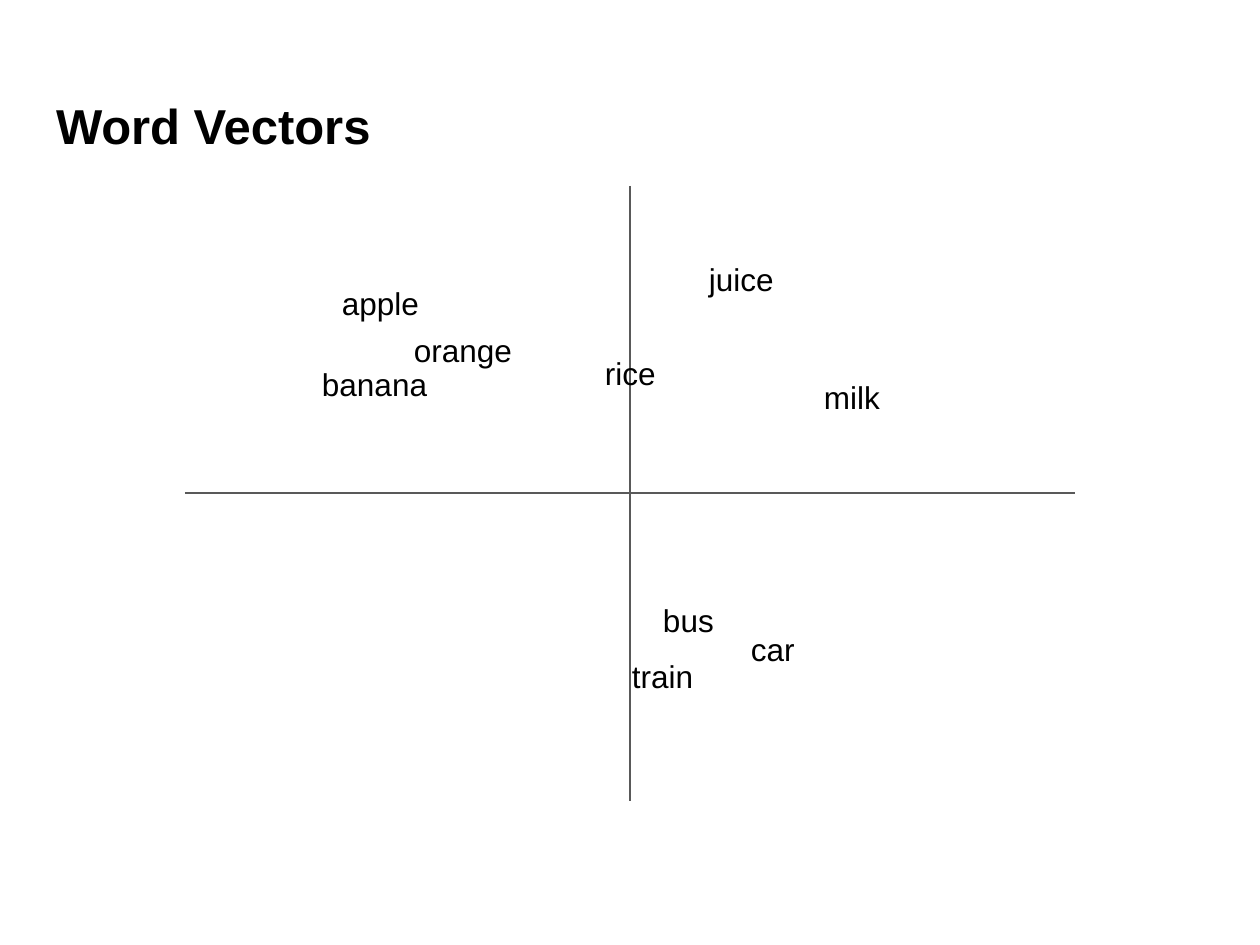
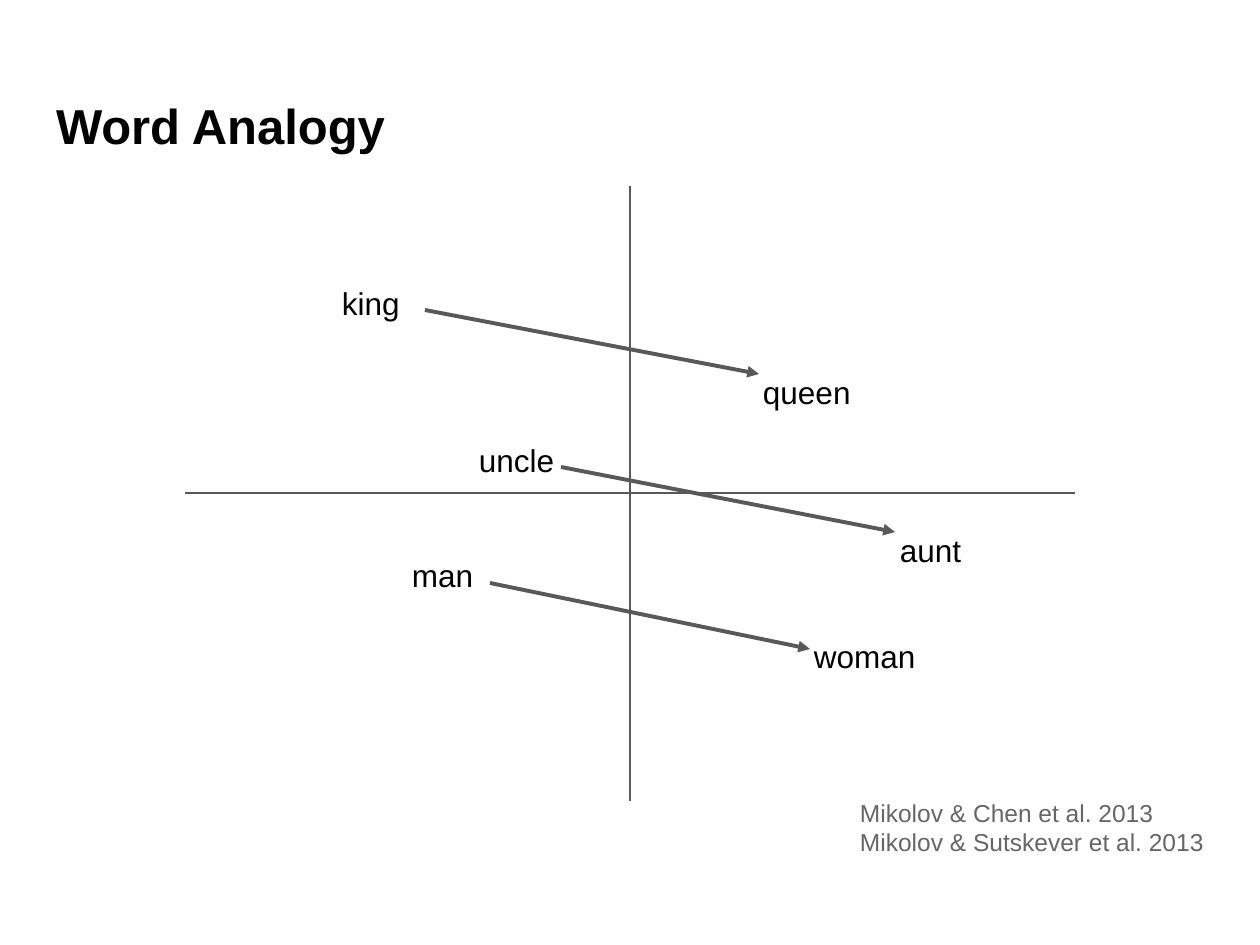
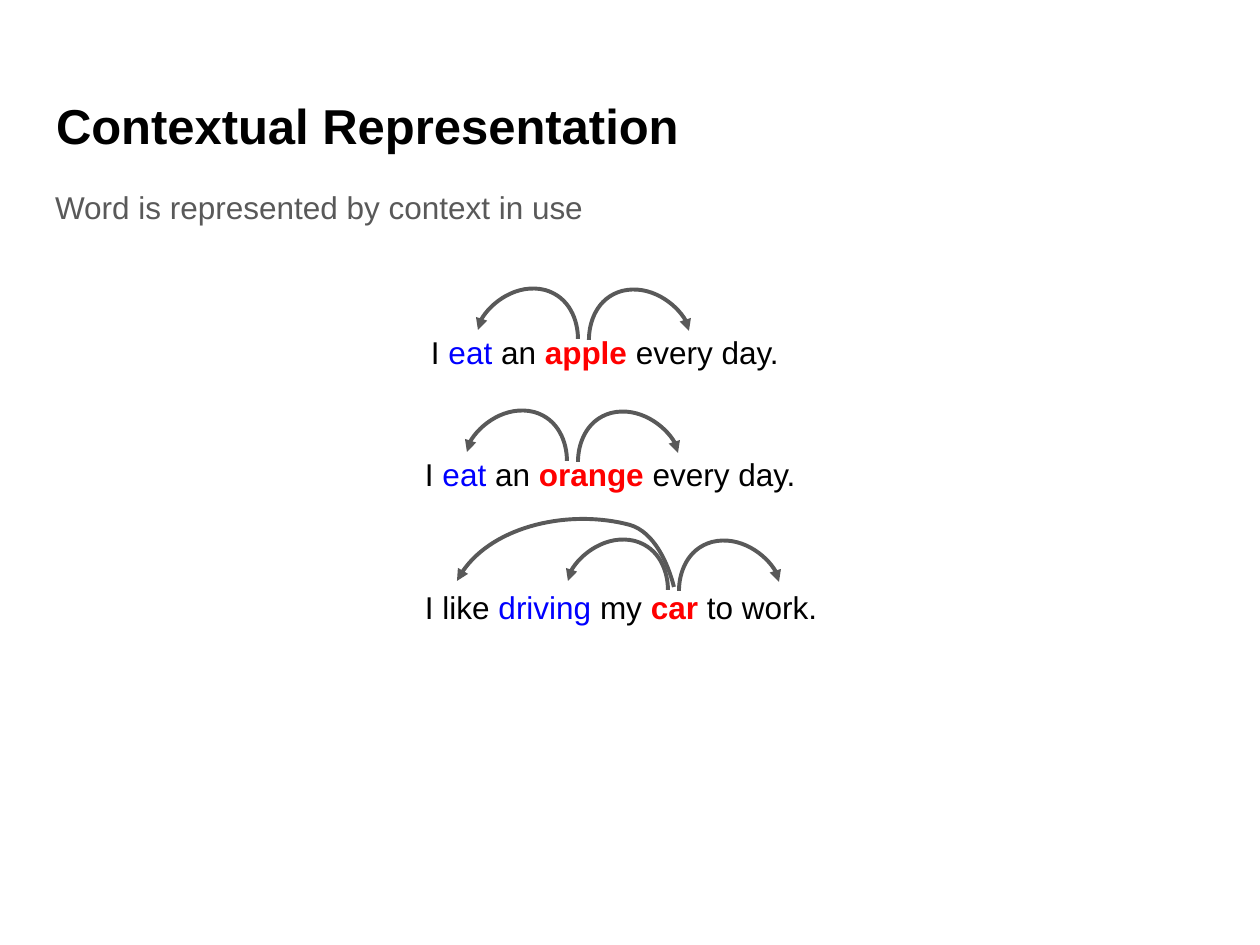
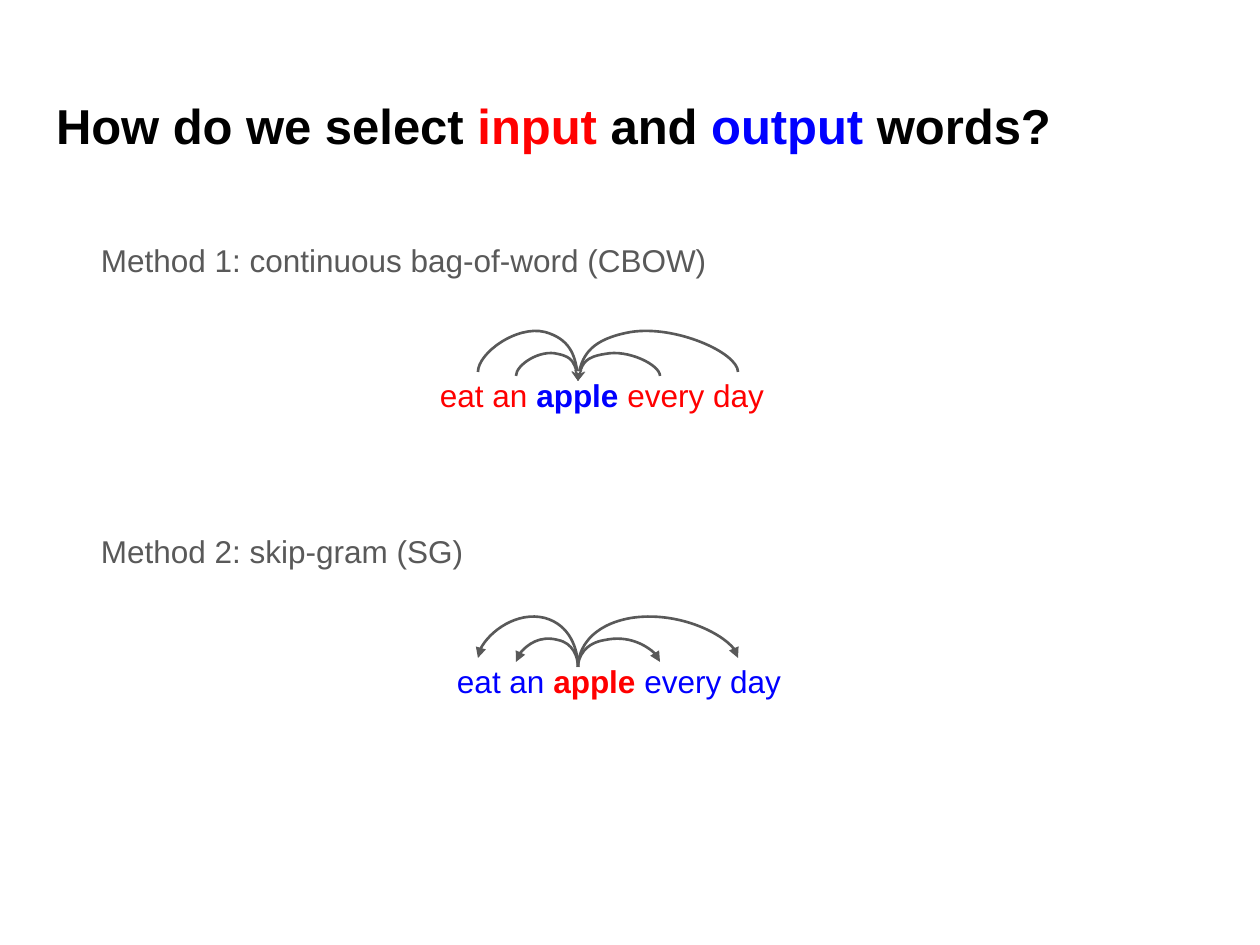
import lxml.etree
import pptx
import pptx.dml.color
import pptx.enum.shapes
import pptx.enum.text
import pptx.oxml.ns
import pptx.util

PX = 914400 / 126
FONT = "Arial"
BLACK, GRAY, NOTE = "000000", "595959", "666666"
RED, BLUE = "FF0000", "0000FF"
INSET = 13
TITLE_BOX = (43, 82, 1174, 104)
PLOT_BOX = (185, 186, 890, 615)
SENTENCE_SIZE = (437, 86)
WORD_HEIGHT = 81
ARC_HEIGHT, LOW_ARC_HEIGHT = 50, 28
ARC_FRACTIONS = [(0, 0), (0, .36), (.08, .84), (.33, .98), (.61, 1.13), (1, .56), (1, .18)]


def px(length):
    """Turn pixels into EMU."""
    return pptx.util.Emu(round(length * PX))


def color(value):
    """Turn a hex string into a colour."""
    return pptx.dml.color.RGBColor.from_string(value)


def add_element(parent, tag, **attributes):
    """Append a drawing element to its parent."""
    return lxml.etree.SubElement(parent, pptx.oxml.ns.qn(tag), **attributes)


def place(shape, box):
    """Move a shape to a box given in pixels."""
    shape.left, shape.top, shape.width, shape.height = map(px, box)


def write(shape, lines, size, middle=False, indent=0):
    """Write lines of (text, colour, bold) pieces into a shape."""
    frame = shape.text_frame
    frame.word_wrap = True
    frame.auto_size = pptx.enum.text.MSO_AUTO_SIZE.NONE
    anchors = pptx.enum.text.MSO_ANCHOR
    frame.vertical_anchor = anchors.MIDDLE if middle else anchors.TOP
    frame.margin_left = px(INSET + indent)
    frame.margin_right = frame.margin_top = frame.margin_bottom = px(INSET)
    for index, pieces in enumerate(lines):
        para = frame.add_paragraph() if index else frame.paragraphs[0]
        para.alignment = pptx.enum.text.PP_ALIGN.LEFT
        for text, ink, bold in pieces:
            span = para.add_run()
            span.text = text
            span.font.name = FONT
            span.font.size = pptx.util.Pt(size)
            span.font.bold = bold
            span.font.color.rgb = color(ink)


def add_text(page, box, lines, size=18, **options):
    """Add a text box."""
    shape = page.shapes.add_textbox(*map(px, box))
    write(shape, lines, size, **options)
    return shape


def add_page(deck, layout, pieces):
    """Add a slide with the shared title style."""
    page = deck.slides.add_slide(deck.slide_layouts.get_by_name(layout))
    place(page.shapes.title, TITLE_BOX)
    write(page.shapes.title, [[(text, ink, True) for text, ink in pieces]], 28)
    return page


def space_statement(shape):
    """Give a statement its line and paragraph spacing."""
    para = shape.text_frame.paragraphs[0]
    para.line_spacing = 1.15
    para.space_before = pptx.util.Pt(0)
    para.space_after = pptx.util.Pt(16)
    return para


def fill_body(page, box, text):
    """Put an unbulleted statement in the body placeholder."""
    body = page.placeholders[1]
    place(body, box)
    write(body, [[(text, GRAY, False)]], 18)
    properties = space_statement(body)._p.get_or_add_pPr()
    properties.set("marL", "0")
    properties.set("indent", "0")
    add_element(properties, "a:buNone")


def style_line(shape, width, end=None, kind="triangle"):
    """Set line colour, width and an optional arrowhead."""
    shape.line.color.rgb = color(GRAY)
    shape.line.width = pptx.util.Pt(width)
    if end:
        add_element(shape.line._get_or_add_ln(), end, type=kind)


def add_line(page, start, finish, width, end=None):
    """Add a straight line without shadow."""
    line = page.shapes.add_connector(
        pptx.enum.shapes.MSO_CONNECTOR.STRAIGHT, *map(px, start + finish))
    style_line(line, width, end)
    add_element(line._element.spPr, "a:effectLst")


def add_curve(page, points, width, end="a:tailEnd", kind="triangle"):
    """Draw cubic curves through every third point, the others being controls."""
    knots = points[::3]
    builder = page.shapes.build_freeform(*knots[0], scale=PX)
    builder.add_line_segments(knots[1:], close=False)
    curve = builder.convert_to_shape()
    left = min(x for x, y in knots)
    top = min(y for x, y in knots)
    outline = curve._element.find(".//" + pptx.oxml.ns.qn("a:path"))
    for segment in outline.findall(pptx.oxml.ns.qn("a:lnTo")):
        outline.remove(segment)
    for first in range(1, len(points), 3):
        bend = add_element(outline, "a:cubicBezTo")
        for x, y in points[first:first + 3]:
            add_element(bend, "a:pt", x=str(x - left), y=str(y - top))
    curve.fill.background()
    curve.shadow.inherit = False
    style_line(curve, width, end, kind)


def add_arc(page, start, reach, height, width, **head):
    """Draw a lopsided arc from a start point to a signed horizontal reach."""
    points = [(start[0] + round(reach * across), start[1] - round(height * up))
              for across, up in ARC_FRACTIONS]
    add_curve(page, points, width, **head)


def add_plot(page, box, words, arrows=()):
    """Draw crossing axes with words and arrows placed from the box corner."""
    left, top, width, height = box
    center, middle = left + width // 2, top + height // 2
    add_line(page, (left, middle), (left + width, middle), .75)
    add_line(page, (center, top), (center, top + height), .75)
    for word, x, y, word_width in words:
        add_text(page, (left + x, top + y, word_width, WORD_HEIGHT), [[(word, BLACK, False)]])
    for x1, y1, x2, y2 in arrows:
        add_line(page, (left + x1, top + y1), (left + x2, top + y2), 2.25, "a:tailEnd")


def add_context(page, corner, pieces, left_arc, long_curve=()):
    """Add a sentence whose bold word points to its context."""
    left, top = corner
    x, y = left + left_arc[0], top + left_arc[1]
    add_text(page, corner + SENTENCE_SIZE, [[(text, ink, ink == RED) for text, ink in pieces]])
    add_arc(page, (x, y), -100, ARC_HEIGHT, 2.25)
    add_arc(page, (x + 11, y + 1), 100, ARC_HEIGHT, 2.25)
    if long_curve:
        add_curve(page, [(left + dx, top + dy) for dx, dy in long_curve], 2.25)


def add_method(page, corner, context_ink, word_ink, indent, **head):
    """Add the sample phrase with four arcs between its word and the context."""
    left, top = corner
    pieces = [("eat an ", context_ink, False), ("apple ", word_ink, True),
              ("every day", context_ink, False)]
    add_text(page, corner + SENTENCE_SIZE, [pieces], indent=indent)
    for reach, height in ((-100, ARC_HEIGHT), (160, ARC_HEIGHT),
                          (-62, LOW_ARC_HEIGHT), (82, LOW_ARC_HEIGHT)):
        add_arc(page, (left + 160, top + 18), reach, height, 1.5, **head)


def build_vectors(deck):
    """Build the slide of word vectors."""
    page = add_page(deck, "Title Only", [("Word Vectors", BLACK)])
    add_plot(page, PLOT_BOX, [
        ("apple", 144, 85, 128), ("orange", 216, 132, 128), ("banana", 124, 166, 150),
        ("rice", 407, 155, 164), ("bus", 465, 402, 93), ("milk", 626, 179, 164),
        ("juice", 511, 61, 164), ("car", 553, 431, 128), ("train", 434, 458, 93)])


def build_analogy(deck):
    """Build the slide of word analogies."""
    page = add_page(deck, "Title Only", [("Word Analogy", BLACK)])
    words = [("king", 144, 85), ("queen", 565, 174), ("man", 214, 357),
             ("woman", 616, 438), ("uncle", 281, 242), ("aunt", 702, 332)]
    arrows = [(240, 124, 574, 188), (305, 397, 625, 463), (376, 281, 710, 346)]
    add_plot(page, PLOT_BOX, [word + (128,) for word in words], arrows)
    sources = ["Mikolov & Chen et al. 2013", "Mikolov & Sutskever et al. 2013"]
    add_text(page, (847, 795, 413, 64), [[(source, NOTE, False)] for source in sources],
             size=14, middle=True)


def build_context(deck):
    """Build the slide of contextual representation."""
    page = add_page(deck, "Title and Content", [("Contextual Representation", BLACK)])
    fill_body(page, (42, 169, 1174, 77), "Word is represented by context in use")
    for fruit, corner, start in (("apple ", (418, 320), (160, 19)),
                                 ("orange ", (412, 442), (155, 19))):
        add_context(page, corner, [("I ", BLACK), ("eat ", BLUE), ("an ", BLACK),
                                   (fruit, RED), ("every day.", BLACK)], start)
    add_context(page, (412, 575), [("I like ", BLACK), ("driving ", BLUE), ("my ", BLACK),
                                   ("car ", RED), ("to work.", BLACK)], (256, 15),
                [(262, 12), (256, -12), (242, -43), (218, -50),
                 (159, -66), (72, -48), (45, 6)])


def build_methods(deck):
    """Build the slide of the two selection methods."""
    page = add_page(deck, "Title and Content", [
        ("How do we select ", BLACK), ("input ", RED), ("and ", BLACK),
        ("output ", BLUE), ("words?", BLACK)])
    fill_body(page, (88, 222, 1174, 66), "Method 1: continuous bag-of-word (CBOW)")
    add_method(page, (418, 363), RED, BLUE, 9, end="a:headEnd", kind="stealth")
    space_statement(add_text(page, (88, 510, 413, 76),
                             [[("Method 2: skip-gram (SG)", GRAY, False)]], middle=True))
    add_method(page, (418, 649), BLUE, RED, 26)


def main():
    """Build and save the deck."""
    deck = pptx.Presentation()
    deck.slide_width, deck.slide_height = px(1260), px(945)
    for build in (build_vectors, build_analogy, build_context, build_methods):
        build(deck)
    deck.save("out.pptx")


if __name__ == "__main__":
    main()
